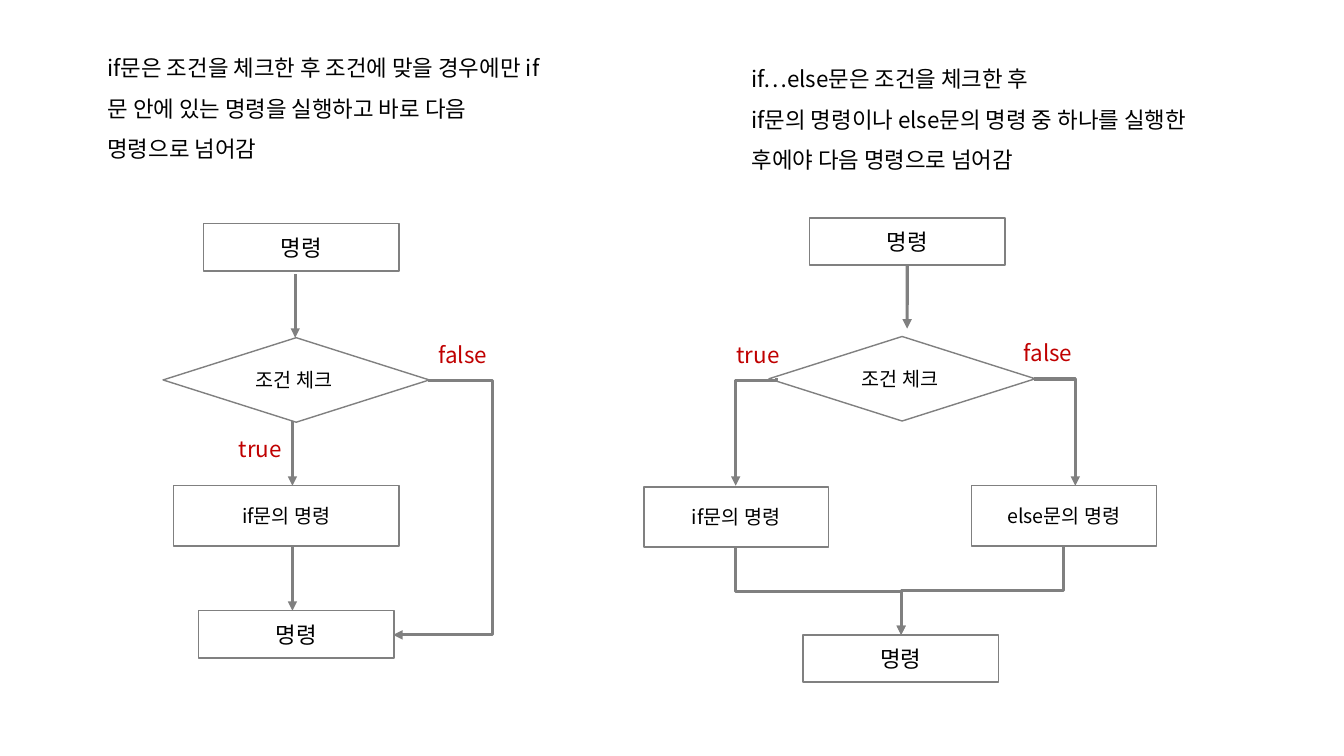
from pptx import Presentation
from pptx.dml.color import RGBColor
from pptx.enum.shapes import MSO_CONNECTOR as CONN, MSO_SHAPE as SHAPE
from pptx.enum.text import MSO_ANCHOR as ANCHOR, PP_ALIGN as ALIGN
from pptx.oxml.ns import qn
from pptx.util import Cm, Pt
from lxml.etree import SubElement

FONT = "Noto Sans CJK KR"
COLORS = {"line": "808080", "text": "000000", "branch": "C00000"}


def color(name):
    """Return a palette colour."""
    return RGBColor.from_string(COLORS[name])


def add_run(p, text, size, name="text"):
    """Add a run of text with its font."""
    r = p.add_run()
    r.text = text
    r.font.size = Pt(size)
    r.font.color.rgb = color(name)
    r.font.name = FONT
    for tag in ("a:ea", "a:cs"):
        SubElement(r.font._element, qn(tag)).set("typeface", FONT)


def add_node(s, kind, x, y, w, h, text, size):
    """Draw an outlined flowchart node with centred text."""
    sp = s.shapes.add_shape(kind, Cm(x), Cm(y), Cm(w), Cm(h))
    sp.shadow.inherit = False
    sp.fill.background()
    sp.line.color.rgb = color("line")
    sp.line.width = Pt(1)
    tf = sp.text_frame
    tf.word_wrap = True
    tf.vertical_anchor = ANCHOR.MIDDLE
    p = tf.paragraphs[0]
    p.alignment = ALIGN.CENTER
    add_run(p, text, size)
    return sp


def add_command(s, x, y):
    """Draw a plain command box."""
    return add_node(s, SHAPE.RECTANGLE, x, y, 4.93, 1.19, "명령", 16)


def add_branch(s, x, y, w, text):
    """Draw the command box of one branch."""
    add_node(s, SHAPE.RECTANGLE, x, y, w, 1.52, text, 14)


def add_condition(s, x, y):
    """Draw the condition diamond."""
    add_node(s, SHAPE.DIAMOND, x, y, 6.71, 2.13, "조건 체크 ", 14)


def add_text(s, x, y, w, h, lines, name="text", spacing=None):
    """Add a text box with one paragraph per line."""
    tf = s.shapes.add_textbox(Cm(x), Cm(y), Cm(w), Cm(h)).text_frame
    tf.word_wrap = True
    for i, line in enumerate(lines):
        p = tf.add_paragraph() if i else tf.paragraphs[0]
        p.line_spacing = spacing
        add_run(p, line, 16, name)


def add_label(s, x, y, text):
    """Add a red branch label."""
    add_text(s, x, y, 2.08, 0.94, [text], "branch")


def add_arrow(s, x1, y1, x2, y2, kind=CONN.STRAIGHT):
    """Draw a connector with a triangle at its end."""
    cxn = s.shapes.add_connector(kind, Cm(x1), Cm(y1), Cm(x2), Cm(y2))
    cxn.line.color.rgb = color("line")
    cxn.line.width = Pt(2.25)
    SubElement(cxn.line._get_or_add_ln(), qn("a:tailEnd")).set("type", "triangle")
    SubElement(cxn._element.spPr, qn("a:effectLst"))
    return cxn


def add_elbow(s, x1, y1, x2, y2, bend=0.5, preset="bentConnector3"):
    """Draw an elbow arrow that leaves sideways."""
    cxn = add_arrow(s, x1, y1, x2, y2, CONN.ELBOW)
    geom = cxn._element.spPr.find(qn("a:prstGeom"))
    geom.set("prst", preset)
    if preset == "bentConnector3":
        gd = SubElement(geom.find(qn("a:avLst")), qn("a:gd"))
        gd.set("name", "adj1")
        gd.set("fmla", f"val {round(bend * 100000)}")
    return cxn


def add_drop(s, x1, y1, x2, y2, bend=0.5):
    """Draw an elbow arrow that leaves downwards, by turning a sideways one."""
    cx, cy = (x1 + x2) / 2, (y1 + y2) / 2
    dx, dy = abs(x2 - x1) / 2, (y2 - y1) / 2
    side = 1 if x2 > x1 else -1
    cxn = add_elbow(s, cx + side * dy, cy - dx, cx - side * dy, cy + dx, bend)
    angle = 270 if side > 0 else 90
    cxn._element.spPr.find(qn("a:xfrm")).set("rot", str(angle * 60000))


def draw_if(s):
    """Draw the if flowchart."""
    add_text(s, 2.46, 0.91, 11.46, 3.2, [
        "if문은 조건을 체크한 후 조건에 맞을 경우에만 "
        "if문 안에 있는 명령을 실행하고 바로 다음 명령으로 넘어감"], spacing=1.5)
    add_command(s, 5.13, 5.64)
    add_condition(s, 4.11, 8.51)
    add_branch(s, 4.37, 12.24, 5.69, "if문의 명령")
    add_command(s, 5, 15.39)
    for x, y1, y2 in ((7.44, 6.91, 8.51), (7.37, 10.62, 12.24), (7.37, 13.77, 15.39)):
        add_arrow(s, x, y1, x, y2)
    add_elbow(s, 10.8, 9.58, 9.91, 16, -1.82)
    add_label(s, 5.77, 10.85, "true")
    add_label(s, 10.8, 8.48, "false")


def draw_if_else(s):
    """Draw the if…else flowchart."""
    add_text(s, 18.69, 1.19, 11.46, 3.2, [
        "if…else문은 조건을 체크한 후",
        "if문의 명령이나 else문의 명령 중 하나를 실행한 후에야 다음 명령으로 넘어감"],
        spacing=1.5)
    first = add_command(s, 20.4, 5.49)
    add_condition(s, 19.38, 8.48)
    add_branch(s, 16.23, 12.27, 4.65, "if문의 명령")
    add_branch(s, 24.49, 12.24, 4.65, "else문의 명령")
    add_command(s, 20.24, 16)
    add_arrow(s, 22.86, 6.68, 22.86, 8.28).begin_connect(first, 2)
    add_drop(s, 19.56, 9.53, 18.54, 12.24, 0.02)
    add_elbow(s, 26.06, 9.55, 27.1, 12.24, preset="bentConnector2")
    add_drop(s, 18.54, 13.79, 22.71, 16)
    add_drop(s, 26.8, 13.77, 22.71, 16)
    add_label(s, 18.31, 8.48, "true")
    add_label(s, 25.55, 8.41, "false")


def main():
    """Build and save the slide."""
    prs = Presentation()
    prs.slide_width, prs.slide_height = Cm(33.87), Cm(19.05)
    s = prs.slides.add_slide(prs.slide_layouts[6])
    draw_if(s)
    draw_if_else(s)
    prs.save("out.pptx")


if __name__ == "__main__":
    main()
